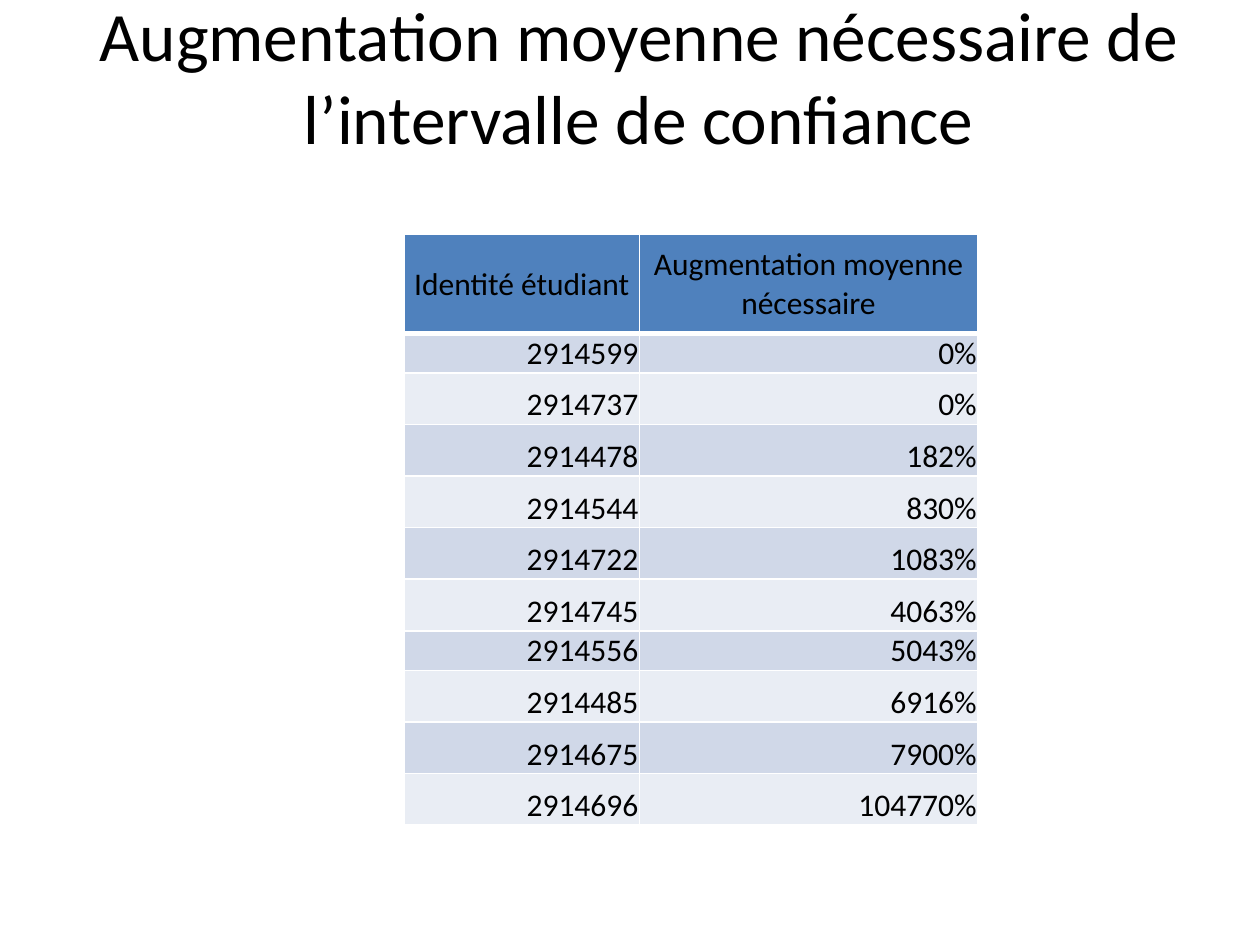
import dataclasses

import pptx
import pptx.dml.color
import pptx.enum.text
import pptx.oxml
import pptx.oxml.ns
import pptx.util

Cm = pptx.util.Cm
Pt = pptx.util.Pt
Align = pptx.enum.text.PP_ALIGN
Anchor = pptx.enum.text.MSO_ANCHOR


@dataclasses.dataclass(frozen=True)
class Theme:
    font: str = "Calibri"
    text: str = "000000"
    header: str = "4F81BD"
    bands: tuple = ("D0D8E8", "E9EDF4")
    border: str = "FFFFFF"
    title_size: float = 39.6
    table_size: float = 18
    thin: float = 1
    thick: float = 3


THEME = Theme()
TITLE = "Augmentation moyenne nécessaire de l’intervalle de confiance"
HEADERS = ("Identité étudiant", "Augmentation moyenne nécessaire")
STUDENTS = (
    ("2914599", "0%"),
    ("2914737", "0%"),
    ("2914478", "182%"),
    ("2914544", "830%"),
    ("2914722", "1083%"),
    ("2914745", "4063%"),
    ("2914556", "5043%"),
    ("2914485", "6916%"),
    ("2914675", "7900%"),
    ("2914696", "104770%"),
)
HEADER_HEIGHT = 2.0
ROW_HEIGHT = 1.04
SHORT_ROWS = {1: 0.74, 7: 0.69}
ID_SHARE = 0.41


def rgb(value):
    return pptx.dml.color.RGBColor.from_string(value)


def format_text(tf, size, align):
    p = tf.paragraphs[0]
    p.alignment = align
    for r in p.runs:
        r.font.name = THEME.font
        r.font.size = Pt(size)
        r.font.bold = False
        r.font.color.rgb = rgb(THEME.text)


def set_borders(cell, top, bottom):
    tc_pr = cell._tc.get_or_add_tcPr()
    widths = {"lnL": THEME.thin, "lnR": THEME.thin, "lnT": top, "lnB": bottom}
    for side, width in widths.items():
        tc_pr.append(pptx.oxml.parse_xml(
            f'<a:{side} {pptx.oxml.ns.nsdecls("a")} w="{Pt(width)}"><a:solidFill>'
            f'<a:srgbClr val="{THEME.border}"/></a:solidFill></a:{side}>'))


def fill_cell(cell, text, row):
    is_header = row == 0
    cell.text_frame.text = text
    format_text(cell.text_frame, THEME.table_size, Align.CENTER if is_header else Align.RIGHT)
    cell.vertical_anchor = Anchor.MIDDLE if is_header else Anchor.BOTTOM
    cell.margin_left = cell.margin_right = cell.margin_top = Cm(0.02)
    cell.margin_bottom = 0
    set_borders(cell,
                THEME.thick if row == 1 else THEME.thin,
                THEME.thick if is_header else THEME.thin)
    cell.fill.solid()
    cell.fill.fore_color.rgb = rgb(THEME.header if is_header else THEME.bands[(row - 1) % 2])


def add_title(s, left, top, width, height):
    title = s.shapes.title
    title.left, title.top, title.width, title.height = left, top, width, height
    tf = title.text_frame
    tf.text = TITLE
    tf.word_wrap = True
    tf.auto_size = pptx.enum.text.MSO_AUTO_SIZE.NONE
    tf.vertical_anchor = Anchor.MIDDLE
    format_text(tf, THEME.title_size, Align.CENTER)


def add_student_table(s, left, top, width, height):
    rows = (HEADERS, *STUDENTS)
    table = s.shapes.add_table(len(rows), len(HEADERS), left, top, width, height).table
    table.columns[0].width = int(width * ID_SHARE)
    table.columns[1].width = width - table.columns[0].width
    for i, values in enumerate(rows):
        table.rows[i].height = Cm(SHORT_ROWS.get(i, ROW_HEIGHT) if i else HEADER_HEIGHT)
        for j, text in enumerate(values):
            fill_cell(table.cell(i, j), text, i)


def main():
    prs = pptx.Presentation()
    prs.slide_width, prs.slide_height = Cm(25.4), Cm(19.05)
    s = prs.slides.add_slide(prs.slide_layouts[5])
    add_title(s, Cm(1.45), Cm(-0.08), Cm(22.86), Cm(3.18))
    add_student_table(s, Cm(8.15), Cm(4.72), Cm(11.56), Cm(11.84))
    prs.save("out.pptx")


if __name__ == "__main__":
    main()
